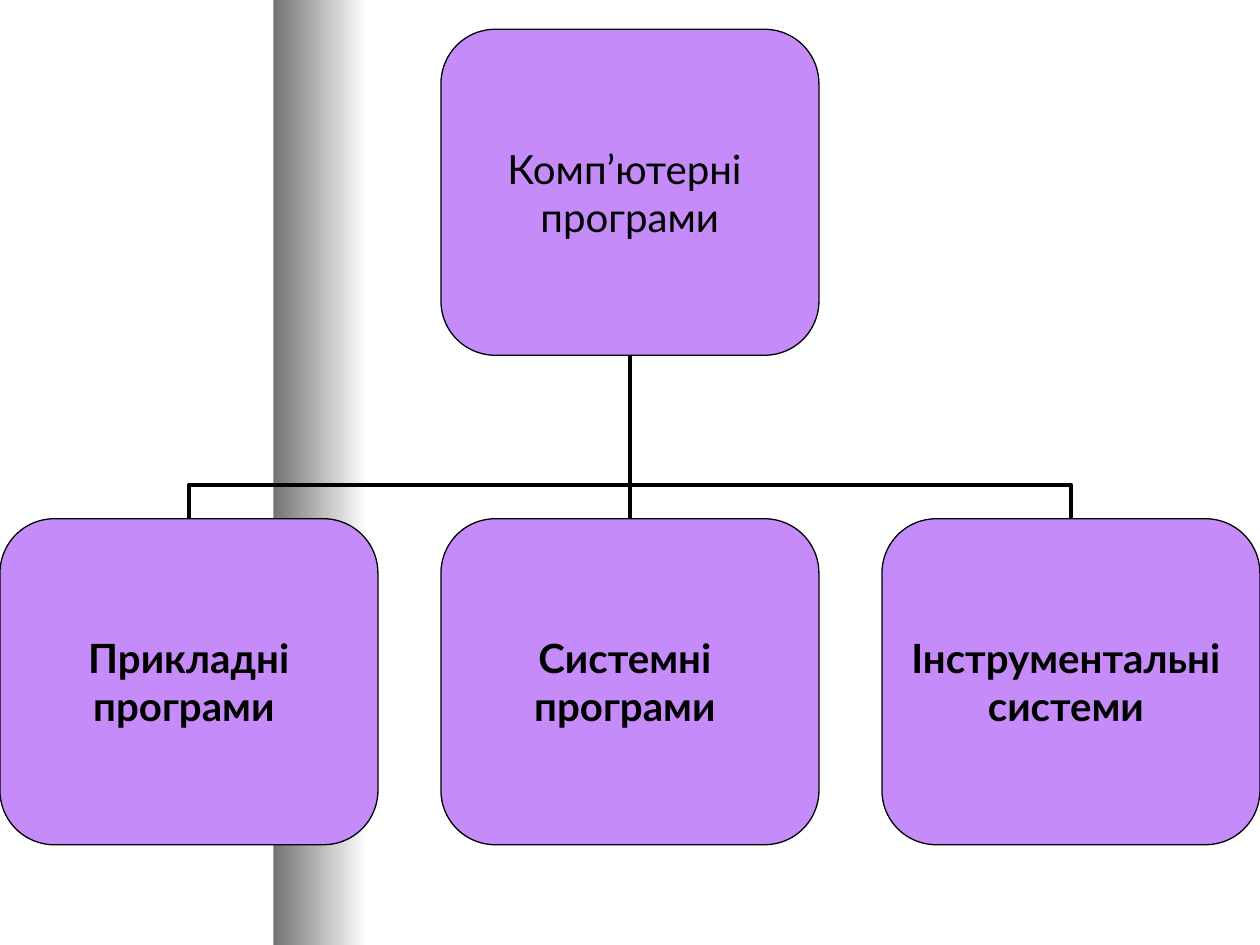
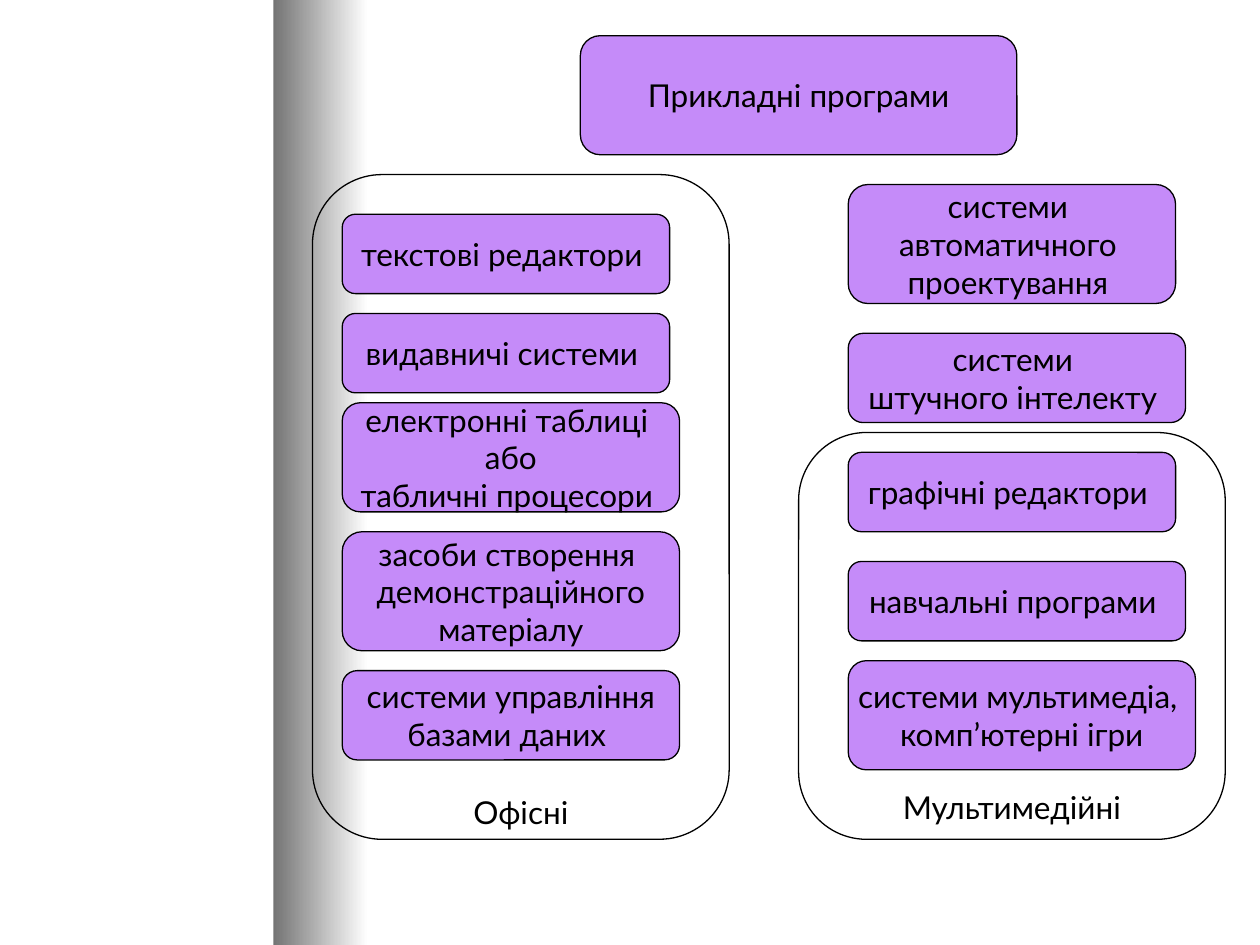
from dataclasses import dataclass

from lxml.etree import SubElement
from pptx import Presentation
from pptx.dml.color import RGBColor
from pptx.enum.shapes import MSO_CONNECTOR as Link, MSO_SHAPE as Form
from pptx.enum.text import MSO_ANCHOR as Anchor, MSO_AUTO_SIZE as Fit, PP_ALIGN as Align
from pptx.oxml.ns import qn
from pptx.util import Inches, Mm, Pt

# Shared look
WIDE, HIGH = Inches(10), Inches(7.5)
FONT, INK, LILAC, GREY, WHITE = "Lato", "000000", "C58BF9", "747474", "FFFFFF"
CELL = Mm(2)
ROOT_TOP, ROW_STEP, NODE_HIGH = 0.031, 0.518, 0.345
COL_STEP, NODE_WIDE = 0.35, 0.3
BEND = 0.209


@dataclass
class Rect:
    left: int
    top: int
    width: int
    height: int

    def args(self) -> tuple:
        return self.left, self.top, self.width, self.height


@dataclass
class Item:
    """A box on the cell grid, with its lines of text."""
    col: int
    row: int
    cols: int
    rows: int
    lines: tuple

    def rect(self) -> Rect:
        return Rect(int((self.col + 0.5) * CELL), int((self.row + 0.6) * CELL),
                    self.cols * CELL, self.rows * CELL)


@dataclass
class Frame(Item):
    lift: float  # from the bottom edge to the middle of the label, in inches


def share(left: float, top: float, width: float, height: float) -> Rect:
    return Rect(int(left * WIDE), int(top * HIGH), int(width * WIDE), int(height * HIGH))


def color(code: str) -> RGBColor:
    return RGBColor.from_string(code)


def write(shape, lines: tuple, size: int, bold: bool = False, pad: tuple = (0.1, 0.05)) -> None:
    frame = shape.text_frame
    frame.auto_size = Fit.NONE
    frame.word_wrap = False
    frame.vertical_anchor = Anchor.MIDDLE
    frame.margin_left = frame.margin_right = Inches(pad[0])
    frame.margin_top = frame.margin_bottom = Inches(pad[1])
    for i, line in enumerate(lines):
        para = frame.add_paragraph() if i else frame.paragraphs[0]
        para.alignment = Align.CENTER
        run = para.add_run()
        run.text = line
        run.font.name, run.font.size, run.font.bold = FONT, Pt(size), bold
        run.font.color.rgb = color(INK)


def panel(slide, rect: Rect, fill: str | None = LILAC):
    shape = slide.shapes.add_shape(Form.ROUNDED_RECTANGLE, *rect.args())
    shape.shadow.inherit = False
    if fill:
        shape.fill.solid()
        shape.fill.fore_color.rgb = color(fill)
    else:
        shape.fill.background()
    shape.line.color.rgb, shape.line.width = color(INK), Pt(0.75)
    return shape


def band(slide) -> None:
    shape = slide.shapes.add_shape(Form.RECTANGLE, *share(0.217, 0, 0.075, 1).args())
    shape.shadow.inherit = False
    shape.line.fill.background()
    shape.fill.gradient()
    shape.fill.gradient_angle = 0
    for stop, code, place in zip(shape.fill.gradient_stops, (GREY, WHITE), (0, 1)):
        stop.color.rgb, stop.position = color(code), place


def start(deck, layout: int):
    slide = deck.slides.add_slide(deck.slide_layouts[layout])
    band(slide)
    return slide


# Connectors of the tree
def line(slide, kind, ends: tuple = (0, 0, 0, 0)):
    link = slide.shapes.add_connector(kind, *ends)
    link.line.color.rgb, link.line.width = color(INK), Pt(2.25)
    SubElement(link.element.spPr, qn("a:effectLst"))
    return link


def elbow(slide, root: Rect, leaf: Rect) -> None:
    """Bend from the top of a leaf to the bottom of the root, as a turned box."""
    x1, x2 = (r.left + r.width // 2 for r in (root, leaf))
    low = root.top + root.height
    drop, span = leaf.top - low, abs(x2 - x1)
    link = line(slide, Link.ELBOW)
    link.left, link.top = (x1 + x2 - drop) // 2, low + (drop - span) // 2
    link.width, link.height = drop, span
    turn = link.element.spPr.find(qn("a:xfrm"))
    turn.set("flipV", "1")
    if x2 < x1:
        turn.set("flipH", "1")
    turn.set("rot", str((90 if x2 < x1 else 270) * 60000))
    form = link.element.spPr.find(qn("a:prstGeom"))
    guides = form.find(qn("a:avLst"))
    if guides is None:
        guides = SubElement(form, qn("a:avLst"))
    SubElement(guides, qn("a:gd"), name="adj1", fmla=f"val {int(BEND * 100000)}")


# Slide 1: the tree of programs
ROOT = ("Комп’ютерні ", "програми")
LEAVES = (("Прикладні", "програми "), ("Системні ", "програми "),
          ("Інструментальні ", "системи "))


def tree(deck) -> None:
    slide = start(deck, 6)
    root = share(COL_STEP, ROOT_TOP, NODE_WIDE, NODE_HIGH)
    rects = [share(i * COL_STEP, ROOT_TOP + ROW_STEP, NODE_WIDE, NODE_HIGH)
             for i in range(len(LEAVES))]
    for i in (2, 0):
        elbow(slide, root, rects[i])
    stem = line(slide, Link.STRAIGHT)
    nodes = []
    for rect, lines in zip([root] + rects, (ROOT,) + LEAVES):
        node = panel(slide, rect)
        write(node, lines, 23, bold=rect is not root, pad=(0, 0))
        nodes.append(node)
    stem.begin_connect(nodes[2], 0)
    stem.end_connect(nodes[0], 2)


# Slide 2: kinds of applied programs
TITLE = Item(58, 3, 44, 12, ("Прикладні програми",))
FRAMES = (Frame(31, 17, 42, 67, ("Офісні",), 0.22),
          Frame(80, 43, 43, 41, ("Мультимедійні",), 0.26))
ITEMS = (
    Item(34, 21, 33, 8, ("текстові редактори ",)),
    Item(34, 31, 33, 8, ("видавничі системи ",)),
    Item(34, 40, 34, 11, ("електронні таблиці ", "або", "табличні процесори ")),
    Item(34, 53, 34, 12, ("засоби створення ", "демонстраційного", " матеріалу ")),
    Item(34, 67, 34, 9, ("системи управління", "базами даних ")),
    Item(85, 18, 33, 12, ("системи ", "автоматичного ", "проектування ")),
    Item(85, 33, 34, 9, ("системи ", "штучного інтелекту ")),
    Item(85, 45, 33, 8, ("графічні редактори ",)),
    Item(85, 56, 34, 8, ("навчальні програми ",)),
    Item(85, 66, 35, 11, ("системи мультимедіа, ", "комп’ютерні ігри")),
)


def kinds(deck) -> None:
    slide = start(deck, 5)
    # Title on its panel
    rect = TITLE.rect()
    panel(slide, rect)
    title = slide.shapes.title
    title.left, title.top, title.width, title.height = rect.args()
    write(title, TITLE.lines, 18)
    slide.shapes.element.append(title.element)
    # Frames with a label near the bottom
    for item in FRAMES:
        rect = item.rect()
        panel(slide, rect, None)
        tall = Inches(0.4)
        mid = rect.top + rect.height - Inches(item.lift)
        label = slide.shapes.add_textbox(rect.left, mid - tall // 2, rect.width, tall)
        write(label, item.lines, 18)
    for item in ITEMS:
        write(panel(slide, item.rect()), item.lines, 18)


def main() -> None:
    deck = Presentation()
    deck.slide_width, deck.slide_height = WIDE, HIGH
    tree(deck)
    kinds(deck)
    deck.save("out.pptx")


if __name__ == "__main__":
    main()
